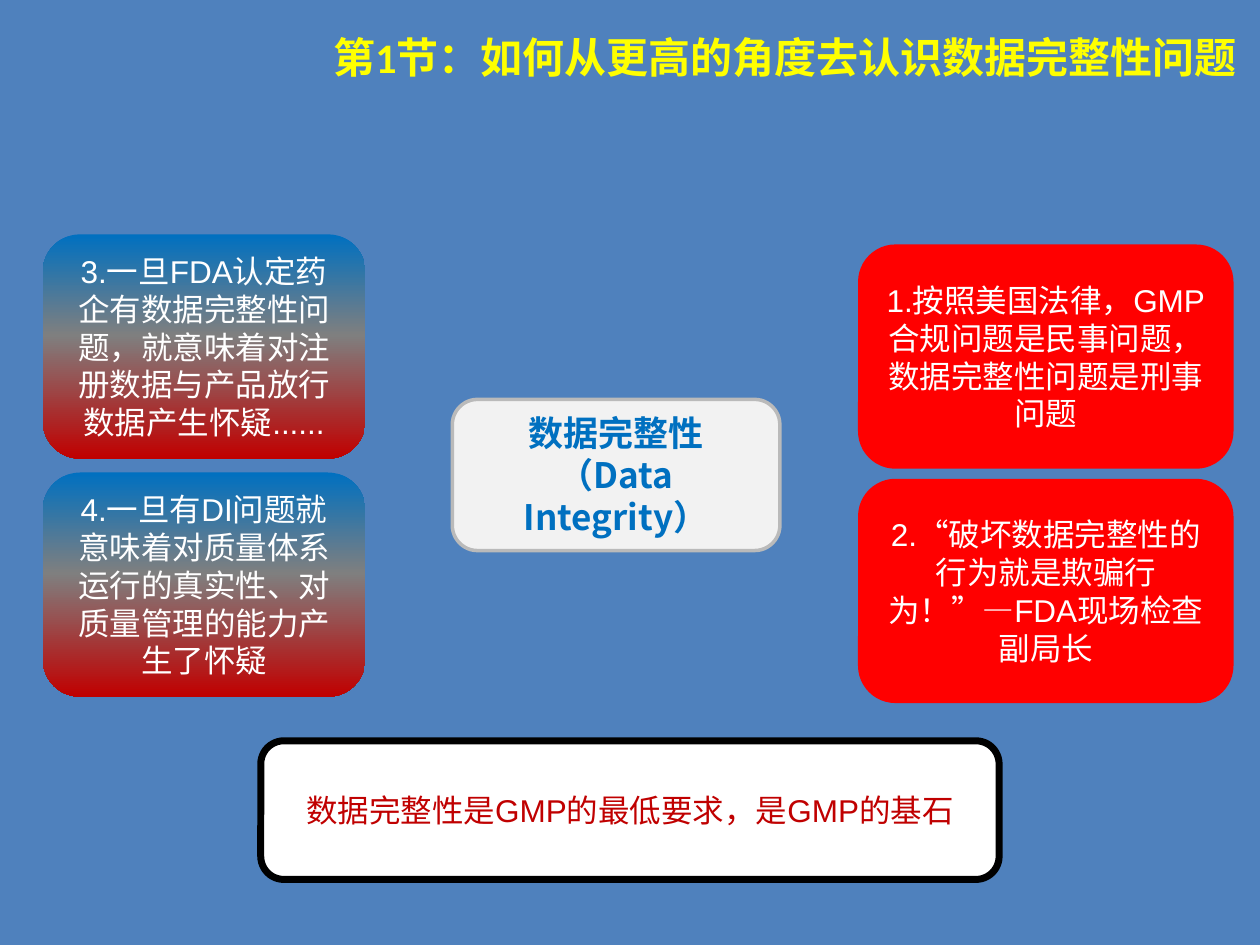
import copy
import pptx
import pptx.dml.color
import pptx.enum.shapes
import pptx.enum.text
import pptx.util

Inches, Pt = pptx.util.Inches, pptx.util.Pt
RGBColor = pptx.dml.color.RGBColor

BACK = RGBColor(0x4F, 0x81, 0xBD)
WHITE = RGBColor(0xFF, 0xFF, 0xFF)
BLACK = RGBColor(0x00, 0x00, 0x00)
PALE = RGBColor(0xF2, 0xF2, 0xF2)
SILVER = RGBColor(0xBA, 0xBA, 0xBA)
GREY = RGBColor(0x7F, 0x7F, 0x7F)
BLUE = RGBColor(0x00, 0x70, 0xC0)
RED = RGBColor(0xFF, 0x00, 0x00)
DARK = RGBColor(0xC0, 0x00, 0x00)
YELLOW = RGBColor(0xFF, 0xFF, 0x00)

TITLE = "第1节：如何从更高的角度去认识数据完整性问题"
CORE = ["数据完整性", "（Data Integrity）"]
BASE = "数据完整性是GMP的最低要求，是GMP的基石"
LAWS = [
    "1.按照美国法律，GMP合规问题是民事问题，数据完整性问题是刑事问题",
    "2.“破坏数据完整性的行为就是欺骗行为！”—FDA现场检查副局长",
]
DOUBTS = [
    "3.一旦FDA认定药企有数据完整性问题，就意味着对注册数据与产品放行数据产生怀疑......",
    "4.一旦有DI问题就意味着对质量体系运行的真实性、对质量管理的能力产生了怀疑",
]
FADE = [(0, BLUE), (0.45, GREY), (1, DARK)]
COLUMNS = [
    (LAWS, 6.81, 1.94, 2.98, 1.86, RED),
    (DOUBTS, 0.34, 1.86, 2.56, 1.89, FADE),
]
HIGH = 1.78


def write(shape, lines, color, size=18, face="Arial", bold=False):
    frame = shape.text_frame
    frame.word_wrap = True
    for i, line in enumerate(lines):
        para = frame.add_paragraph() if i else frame.paragraphs[0]
        para.alignment = pptx.enum.text.PP_ALIGN.CENTER
        run = para.add_run()
        run.text = line
        run.font.size = Pt(size)
        run.font.name = face
        run.font.bold = bold
        run.font.color.rgb = color


def shade(shape, stops):
    fill = shape.fill
    fill.gradient()
    fill.gradient_angle = 270
    first = shape.element.spPr.find(".//" + pptx.oxml.ns.qn("a:gs"))
    first.addnext(copy.deepcopy(first))
    for stop, (place, color) in zip(fill.gradient_stops, stops):
        stop.position = place
        stop.color.rgb = color


def card(slide, at, fill, edge=None, width=0):
    kind = pptx.enum.shapes.MSO_SHAPE.ROUNDED_RECTANGLE
    shape = slide.shapes.add_shape(kind, *map(Inches, at))
    shape.shadow.inherit = False
    shape.text_frame.vertical_anchor = pptx.enum.text.MSO_ANCHOR.MIDDLE
    if isinstance(fill, list):
        shade(shape, fill)
    else:
        shape.fill.solid()
        shape.fill.fore_color.rgb = fill
    if edge is None:
        shape.line.fill.background()
    else:
        shape.line.color.rgb = edge
        shape.line.width = Pt(width)
    return shape


def main():
    deck = pptx.Presentation()
    deck.slide_width, deck.slide_height = Inches(10), Inches(7.5)
    slide = deck.slides.add_slide(deck.slide_layouts[6])
    slide.background.fill.solid()
    slide.background.fill.fore_color.rgb = BACK

    core = card(slide, (3.59, 3.17, 2.6, 1.2), PALE, SILVER, 2)
    write(core, CORE, BLUE, 20, "Noto Sans CJK SC", True)

    for texts, left, top, wide, step, fill in COLUMNS:
        for i, text in enumerate(texts):
            at = (left, top + i * step, wide, HIGH)
            write(card(slide, at, fill), [text], WHITE)

    base = card(slide, (2.07, 5.88, 5.86, 1.1), WHITE, BLACK, 4)
    write(base, [BASE], DARK)

    title = slide.shapes.add_textbox(*map(Inches, (2.41, 0.2, 7.64, 1.25)))
    write(title, [TITLE], YELLOW, 24, "Calibri", True)
    deck.save("out.pptx")


if __name__ == "__main__":
    main()
